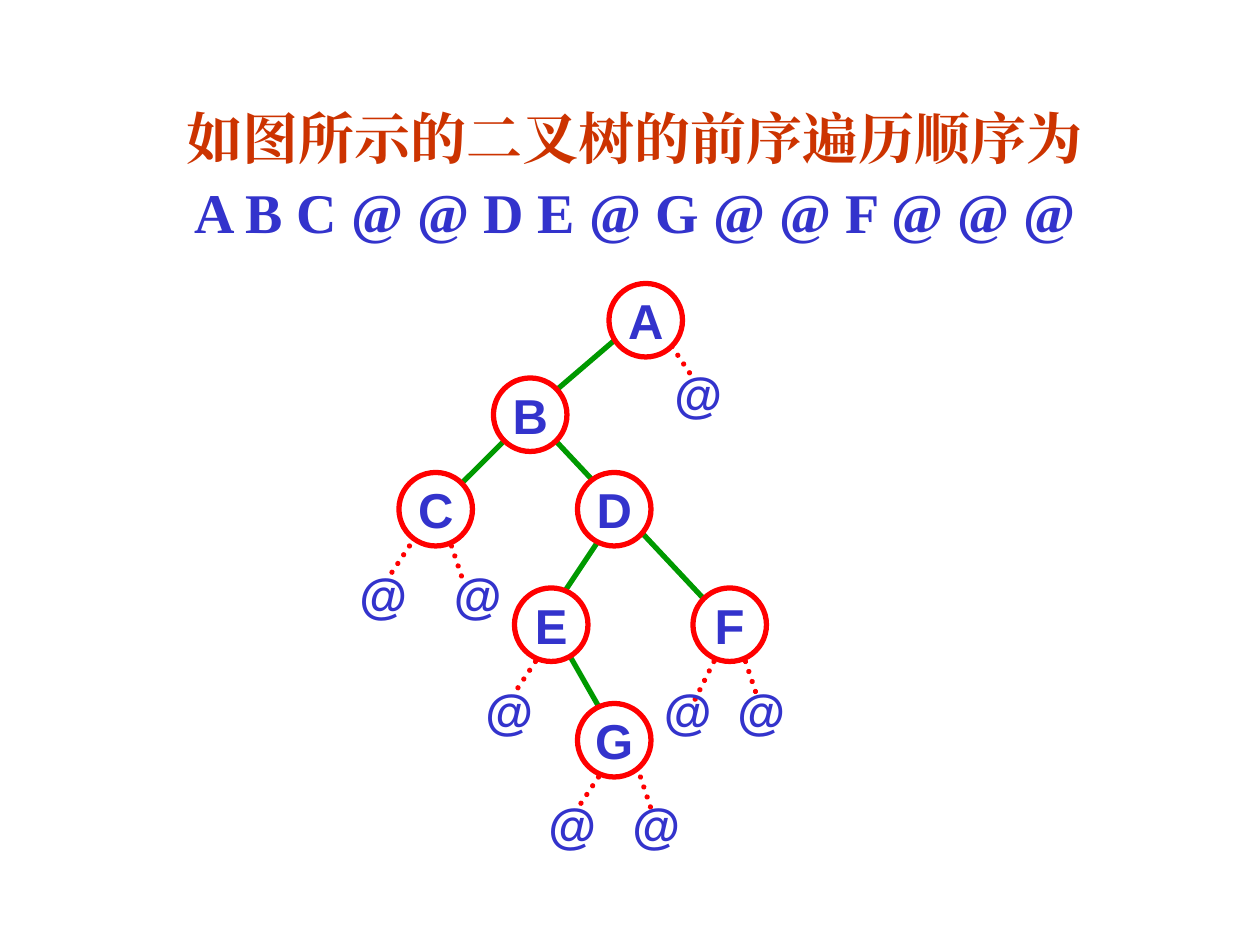
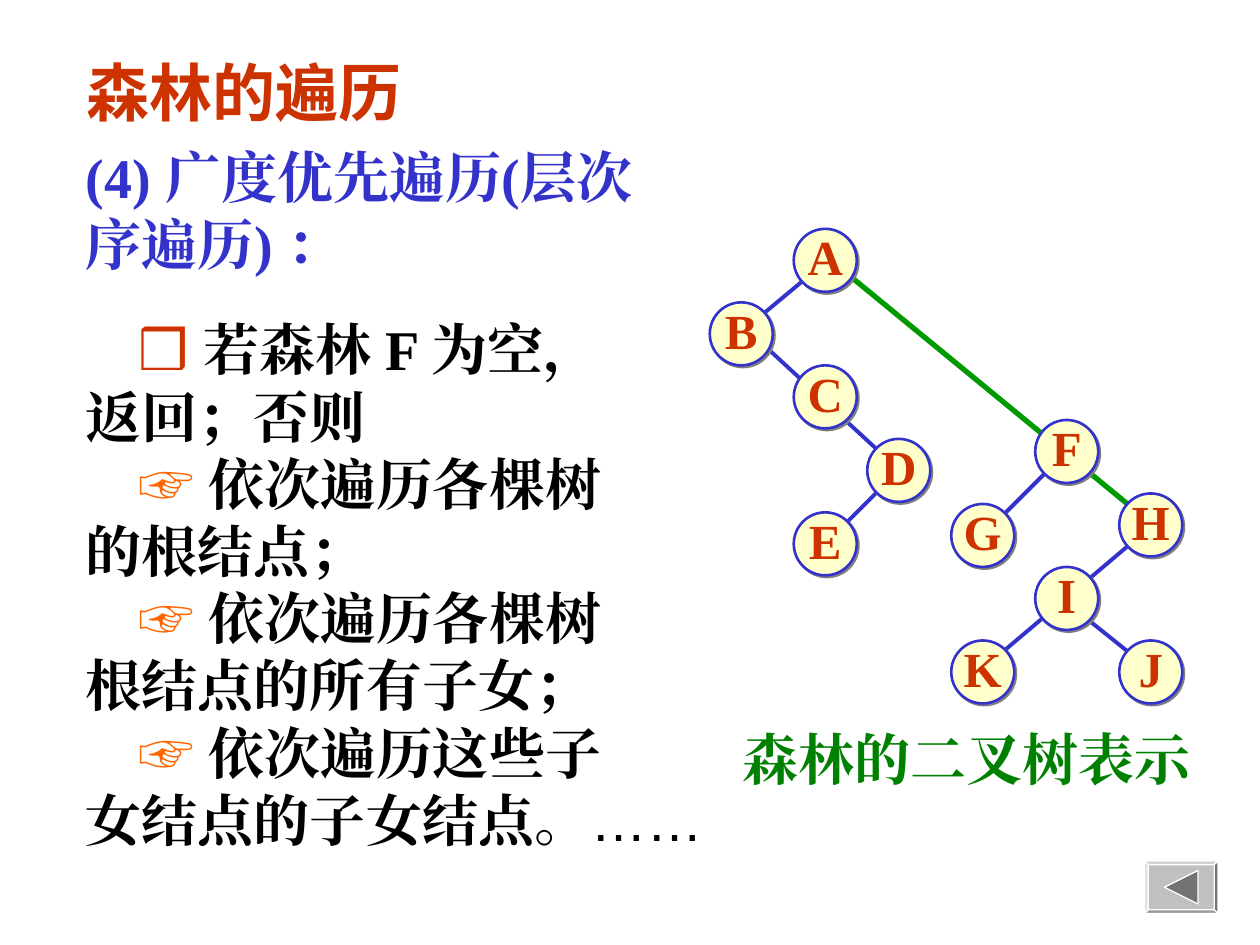
from dataclasses import dataclass

import pptx
import pptx.dml.color
import pptx.enum.dml
import pptx.enum.shapes
import pptx.enum.text
import pptx.oxml
import pptx.oxml.ns
import pptx.util
from lxml import etree

SHAPE = pptx.enum.shapes.MSO_SHAPE
ALIGN = pptx.enum.text.PP_ALIGN
ANCHOR = pptx.enum.text.MSO_ANCHOR
WIDTH, HEIGHT = pptx.util.Inches(10), pptx.util.Inches(7.5)
COLUMN, ROW = WIDTH / 120, HEIGHT / 90


@dataclass(frozen=True)
class Theme:
    heading: str = "CC3300"
    blue: str = "3333CC"
    green: str = "009900"
    caption: str = "008000"
    red: str = "FF0000"
    hand: str = "FF6600"
    black: str = "000000"
    white: str = "FFFFFF"
    cream: str = "FFFFCC"
    shade: str = "808080"
    face: str = "C0C0C0"
    light: str = "E0E0E0"
    pale: str = "CDCDCD"
    dim: str = "9A9A9A"
    dark: str = "737373"
    serif: str = "Times New Roman"
    sans: str = "Arial"
    title_size: float = 36
    body_size: float = 32
    label_size: float = 28
    leading: float = 1.2


THEME = Theme()


@dataclass(frozen=True)
class Area:
    """A rectangle in grid columns and rows."""
    left: float
    top: float
    width: float
    height: float

    def lengths(self) -> tuple[int, int, int, int]:
        return (round(self.left * COLUMN), round(self.top * ROW),
                round(self.width * COLUMN), round(self.height * ROW))


@dataclass(frozen=True)
class TextStyle:
    color: str
    size: float = THEME.body_size
    font: str = THEME.serif
    bold: bool = True


@dataclass(frozen=True)
class NodeStyle:
    diameter: float
    fill: str
    line: str
    line_width: float
    text: TextStyle
    lift: float = 0
    shadow: bool = False


@dataclass(frozen=True)
class Node:
    label: str
    left: float
    top: float


@dataclass(frozen=True)
class EdgeStyle:
    color: str
    width: float = 3
    dotted: bool = False


@dataclass(frozen=True)
class Edge:
    x1: float
    y1: float
    x2: float
    y2: float
    style: EdgeStyle


@dataclass(frozen=True)
class Step:
    marker: str
    marker_color: str
    text: str


LETTER = TextStyle(THEME.blue, THEME.label_size, THEME.sans)
RING = NodeStyle(7, THEME.white, THEME.red, 3, LETTER)
BALL = NodeStyle(6, THEME.cream, THEME.blue, 1.5,
                 TextStyle(THEME.heading, THEME.label_size), lift=0.07, shadow=True)
BRANCH = EdgeStyle(THEME.green)
EMPTY_BRANCH = EdgeStyle(THEME.red, dotted=True)
TREE_LINK = EdgeStyle(THEME.blue, 2.25)

BINARY_NODES = [
    Node("A", 58, 27), Node("B", 47, 36), Node("C", 38, 45), Node("D", 55, 45),
    Node("E", 49, 56), Node("F", 66, 56), Node("G", 55, 67),
]
EMPTY_MARKS = [(63, 34), (33, 53.2), (42, 53.2), (45, 64.2),
               (62, 64.2), (69, 64.2), (51, 75.1), (59, 75.1)]
BINARY_EDGES = [
    *(Edge(*ends, BRANCH) for ends in [
        (54, 62, 58, 69), (58, 50, 52, 59), (52, 41, 67, 57),
        (48, 42, 43, 47), (59, 32, 52, 38)]),
    *(Edge(*ends, EMPTY_BRANCH) for ends in [
        (39, 52, 37, 55), (43, 52, 44, 55), (51, 63, 49, 66), (57, 74, 55, 77),
        (61, 74, 62, 77), (68, 63, 66, 67), (71, 63, 72, 66), (64, 33, 66, 36)]),
]
FOREST_NODES = [
    Node("A", 75.6, 21.8), Node("B", 67.6, 28.8), Node("C", 75.6, 34.8),
    Node("D", 82.6, 41.8), Node("E", 75.6, 48.8), Node("F", 98.6, 40),
    Node("G", 90.6, 48), Node("H", 106.6, 47), Node("I", 98.6, 54),
    Node("K", 90.6, 61), Node("J", 106.6, 61),
]
FOREST_EDGES = [
    Edge(80.6, 26, 108.6, 49, BRANCH),
    *(Edge(*ends, TREE_LINK) for ends in [
        (84.6, 45.8, 79.6, 50.8), (71.6, 31.8, 84.6, 43.8),
        (77.6, 25.8, 71.6, 30.8), (103.6, 59, 108.6, 63),
        (108.6, 51, 95.6, 62), (100.6, 44, 94.6, 50)]),
]
STEPS = [
    Step("❒", THEME.heading, " 若森林 F 为空，\v返回；否则"),
    Step("☞", THEME.hand, " 依次遍历各棵树\v的根结点；"),
    Step("☞", THEME.hand, " 依次遍历各棵树\v根结点的所有子女；"),
    Step("☞", THEME.hand, " 依次遍历这些子\v女结点的子女结点"),
]


def rgb(code: str):
    return pptx.dml.color.RGBColor.from_string(code)


def format_run(span, style: TextStyle) -> None:
    span.font.size = pptx.util.Pt(style.size)
    span.font.name = style.font
    span.font.bold = style.bold
    span.font.color.rgb = rgb(style.color)
    east_asian = etree.Element(pptx.oxml.ns.qn("a:ea"), typeface=style.font)
    span.font._element.find(pptx.oxml.ns.qn("a:latin")).addnext(east_asian)


def format_paragraph(para, style: TextStyle, align=ALIGN.LEFT,
                     leading: float = THEME.leading) -> None:
    para.alignment = align
    para.line_spacing = pptx.util.Pt(round(style.size * leading, 1))
    for span in para.runs:
        format_run(span, style)


def add_span(para, text: str, style: TextStyle) -> None:
    span = para.add_run()
    span.text = text
    format_run(span, style)


def set_frame(frame, anchor=ANCHOR.TOP) -> None:
    frame.word_wrap = True
    frame.auto_size = pptx.enum.text.MSO_AUTO_SIZE.NONE
    frame.vertical_anchor = anchor


def add_text(page, area: Area, text: str, style: TextStyle,
             align=ALIGN.LEFT, anchor=ANCHOR.TOP):
    box = page.shapes.add_textbox(*area.lengths())
    set_frame(box.text_frame, anchor)
    box.text_frame.text = text
    for para in box.text_frame.paragraphs:
        format_paragraph(para, style, align)
    return box


def add_page(deck, area: Area, title: str, anchor=ANCHOR.TOP):
    """Add a title-only page with its title placed at area."""
    page = deck.slides.add_slide(deck.slide_layouts[5])
    heading = page.shapes.title
    heading.left, heading.top, heading.width, heading.height = area.lengths()
    set_frame(heading.text_frame, anchor)
    heading.text_frame.text = title
    return page, heading.text_frame.paragraphs


def add_edge(page, edge: Edge) -> None:
    line = page.shapes.add_connector(
        pptx.enum.shapes.MSO_CONNECTOR.STRAIGHT,
        round(edge.x1 * COLUMN), round(edge.y1 * ROW),
        round(edge.x2 * COLUMN), round(edge.y2 * ROW))
    line.line.color.rgb = rgb(edge.style.color)
    line.line.width = pptx.util.Pt(edge.style.width)
    properties = line._element.spPr
    if edge.style.dotted:
        line.line.dash_style = pptx.enum.dml.MSO_LINE.ROUND_DOT
        properties.find(pptx.oxml.ns.qn("a:ln")).set("cap", "rnd")
    etree.SubElement(properties, pptx.oxml.ns.qn("a:effectLst"))


def add_drop_shadow(shape) -> None:
    effects = shape._element.spPr.find(pptx.oxml.ns.qn("a:effectLst"))
    shadow = etree.SubElement(effects, pptx.oxml.ns.qn("a:outerShdw"),
                              dist=str(pptx.util.Pt(1.4)), dir="2700000")
    etree.SubElement(shadow, pptx.oxml.ns.qn("a:srgbClr"), val=THEME.shade)


def add_node(page, node: Node, style: NodeStyle) -> None:
    area = Area(node.left, node.top, style.diameter, style.diameter)
    circle = page.shapes.add_shape(SHAPE.OVAL, *area.lengths())
    circle.shadow.inherit = False
    circle.fill.solid()
    circle.fill.fore_color.rgb = rgb(style.fill)
    circle.line.color.rgb = rgb(style.line)
    circle.line.width = pptx.util.Pt(style.line_width)
    if style.shadow:
        add_drop_shadow(circle)
    frame = circle.text_frame
    set_frame(frame, ANCHOR.MIDDLE)
    frame.word_wrap = False
    frame.margin_left = frame.margin_right = frame.margin_top = 0
    frame.margin_bottom = pptx.util.Inches(style.lift)
    frame.text = node.label
    frame.paragraphs[0].alignment = ALIGN.CENTER
    format_run(frame.paragraphs[0].runs[0], style.text)


def add_tree(page, nodes: list[Node], edges: list[Edge], style: NodeStyle) -> None:
    for edge in edges:
        add_edge(page, edge)
    for node in nodes:
        add_node(page, node, style)


def add_back_button(page, area: Area, bevel: float = 0.35) -> None:
    left, top = area.left, area.top
    right, bottom = left + area.width, top + area.height
    outer = [(left, top), (right, top), (right, bottom), (left, bottom)]
    inner = [(left + bevel, top + bevel), (right - bevel, top + bevel),
             (right - bevel, bottom - bevel), (left + bevel, bottom - bevel)]
    middle = (top + bottom) / 2
    arrow = [(left + 1.9, middle), (right - 1.9, middle - 1.6),
             (right - 1.9, middle + 1.6)]
    facets = [(outer, THEME.face), (arrow, THEME.dark)]
    for side, color in enumerate([THEME.pale, THEME.dark, THEME.dim, THEME.light]):
        following = (side + 1) % 4
        facets.append(([outer[side], outer[following],
                        inner[following], inner[side]], color))
    for points, color in facets:
        corners = [(round(x * COLUMN), round(y * ROW)) for x, y in points]
        builder = page.shapes.build_freeform(*corners[0])
        builder.add_line_segments(corners[1:], close=True)
        facet = builder.convert_to_shape()
        facet.shadow.inherit = False
        facet.fill.solid()
        facet.fill.fore_color.rgb = rgb(color)
        facet.line.color.rgb = rgb(THEME.white)
        facet.line.width = 0


def build_preorder_page(deck) -> None:
    page, paragraphs = add_page(
        deck, Area(13, 8.6, 95, 15.4),
        "如图所示的二叉树的前序遍历顺序为\nA B C @ @ D E @ G @ @ F @ @ @", ANCHOR.MIDDLE)
    for para, color in zip(paragraphs, (THEME.heading, THEME.blue)):
        format_paragraph(para, TextStyle(color), ALIGN.CENTER, THEME.leading * 1.1)
    add_tree(page, BINARY_NODES, BINARY_EDGES, RING)
    for left, top in EMPTY_MARKS:
        add_text(page, Area(left, top, 7, 6.8), "@", LETTER,
                 ALIGN.CENTER, ANCHOR.MIDDLE)


def build_forest_page(deck) -> None:
    page, paragraphs = add_page(deck, Area(7, 4.5, 33, 8.4), "森林的遍历")
    format_paragraph(paragraphs[0],
                     TextStyle(THEME.heading, THEME.title_size, THEME.sans))
    add_text(page, Area(69.5, 68.4, 45.5, 7.7), "森林的二叉树表示",
             TextStyle(THEME.caption))
    body = add_text(page, Area(7, 13, 62, 68.9),
                    "(4) 广度优先遍历(层次\v序遍历) ：", TextStyle(THEME.blue))
    for index, step in enumerate(STEPS):
        para = body.text_frame.add_paragraph()
        para._element.get_or_add_pPr().set("indent", str(pptx.util.Inches(0.42)))
        if index == 0:
            para.space_before = pptx.util.Pt(21.6)
        add_span(para, step.marker, TextStyle(step.marker_color, font=THEME.sans))
        first, second = step.text.split("\v")
        add_span(para, first, TextStyle(THEME.black))
        para.add_line_break()
        add_span(para, second, TextStyle(THEME.black))
        format_spacing = pptx.util.Pt(THEME.body_size * THEME.leading)
        para.line_spacing = format_spacing
    add_span(para, "。", TextStyle(THEME.black, bold=False))
    add_span(para, "……", TextStyle(THEME.black, font=THEME.sans, bold=False))
    add_tree(page, FOREST_NODES, FOREST_EDGES, BALL)
    add_back_button(page, Area(109, 82, 7, 5))


def main() -> None:
    deck = pptx.Presentation()
    deck.slide_width, deck.slide_height = WIDTH, HEIGHT
    build_preorder_page(deck)
    build_forest_page(deck)
    deck.save("out.pptx")


if __name__ == "__main__":
    main()
